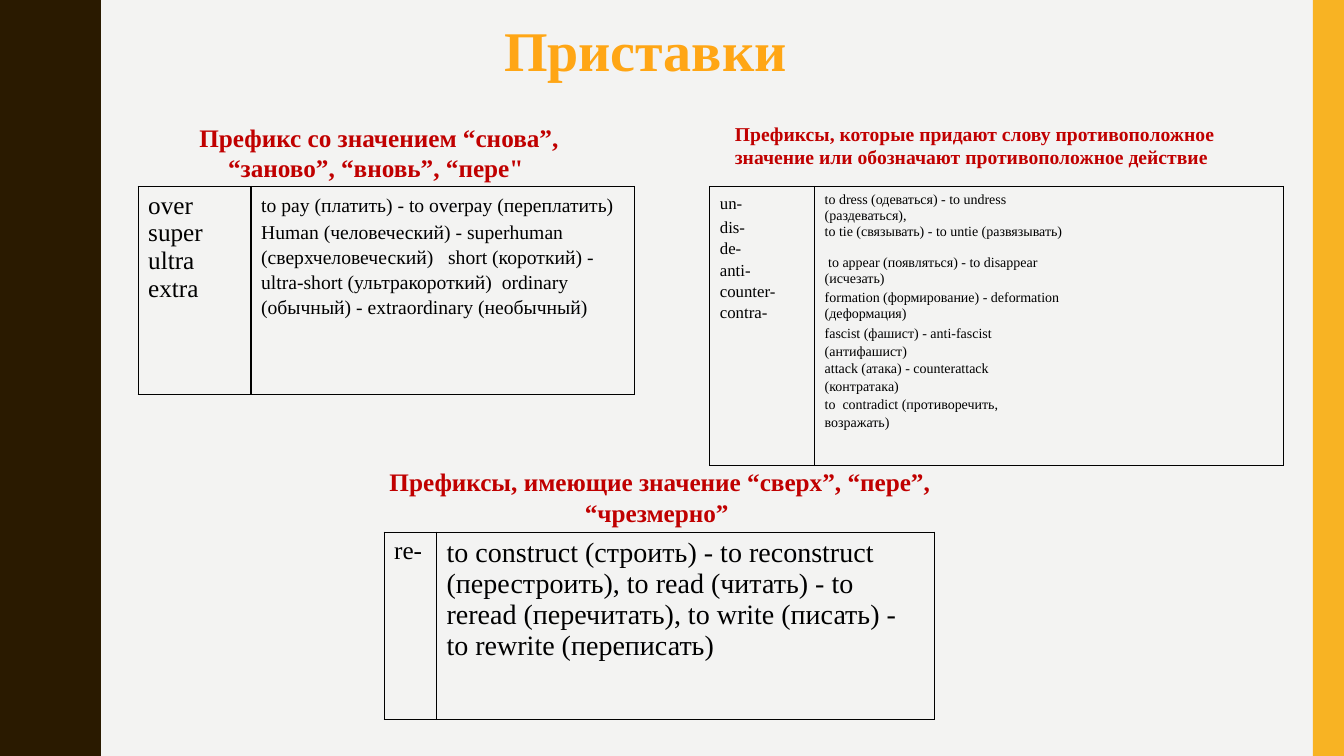
from lxml import etree
from pptx import Presentation
from pptx.dml.color import RGBColor
from pptx.enum import shapes, text
from pptx.oxml import ns
from pptx.util import Inches, Pt

COLORS = {"paper": "F3F3F2", "wave": "2A1A00", "band": "F8B323",
          "title": "FFA615", "heading": "C00000", "ink": "000000"}
FONT = "Times New Roman"


def style(para, size, color, bold=False):
    para.font.name = FONT
    para.font.size = Pt(size)
    para.font.bold = bold
    para.font.color.rgb = RGBColor.from_string(COLORS[color])


def add_borders(cell):
    props = cell._tc.get_or_add_tcPr()
    for index, side in enumerate(("lnL", "lnR", "lnT", "lnB")):
        line = etree.Element(ns.qn(f"a:{side}"), w=str(Pt(1)))
        fill = etree.SubElement(line, ns.qn("a:solidFill"))
        etree.SubElement(fill, ns.qn("a:srgbClr"), val=COLORS["ink"])
        props.insert(index, line)


deck = Presentation()
deck.slide_width, deck.slide_height = Inches(13.33), Inches(7.5)
page = deck.slides.add_slide(deck.slide_layouts[5])
page.background.fill.solid()
page.background.fill.fore_color.rgb = RGBColor.from_string(COLORS["paper"])

# Wavy left edge: half a wave, mirrored and repeated five times
PERIOD = 1.5
half = [(0.78, 0), (0.78, 0.07), (0.79, 0.14), (0.8, 0.2), (0.81, 0.25),
        (0.83, 0.29), (0.85, 0.33), (0.87, 0.38), (0.89, 0.42), (0.91, 0.46),
        (0.93, 0.5), (0.95, 0.55), (0.96, 0.61), (0.97, 0.68), (0.97, 0.75)]
wave = half + [(x, PERIOD - y) for x, y in reversed(half[:-1])]
outline = [(x, y + PERIOD * turn) for turn in range(5) for x, y in wave]
builder = page.shapes.build_freeform(0, 0, scale=Inches(1))
builder.add_line_segments(outline + [(0, 7.5)], close=True)
edge = builder.convert_to_shape()

# Right band
band = page.shapes.add_shape(shapes.MSO_SHAPE.RECTANGLE, Inches(13.02), 0,
                             Inches(0.31), Inches(7.5))
for shape, color in ((edge, "wave"), (band, "band")):
    shape.shadow.inherit = False
    shape.fill.solid()
    shape.fill.fore_color.rgb = RGBColor.from_string(COLORS[color])
    shape.line.fill.background()

# Title
title = page.shapes.title
title.left, title.top = Inches(4.9), Inches(0.1)
title.width, title.height = Inches(7.15), Inches(0.77)
title.text_frame.text = "Приставки"
title.text_frame.vertical_anchor = text.MSO_ANCHOR.TOP
title.text_frame.paragraphs[0].alignment = text.PP_ALIGN.LEFT
style(title.text_frame.paragraphs[0], 40, "title", True)

# Tables: place, column widths, row height, right margin of the examples,
# then per cell (size, paragraphs of (text, line spacing, space after))
tables = [
    (1.37, 1.85, (1.12, 3.8), 2.06, 0.1, [
        (18, [("over \vsuper", 1, 0), ("ultra \vеxtra", 1, 0)]),
        (14, [("to pay (платить) - to overpay (переплатить)", 1.15, 1.8),
              ("Human (человеческий) - superhuman (сверхчеловеческий)   short (короткий) - "
               "ultra-short (ультракороткий)  ordinary (обычный) - "
               "extraordinary (необычный)", 1.15, 0)])]),
    (7.04, 1.85, (1.04, 4.65), 2.77, 2.17, [
        (12, [("un-", 1.15, 1.8)] + [(prefix, 1.15, 0) for prefix in
                                     ("dis-", "de-", "anti-", "counter-", "contra-")]),
        (10, [("to dress (одеваться) - to undress (раздеваться),  \v"
               "to tie (связывать) - to untie (развязывать) \v"
               " to appear (появляться) - to disappear (исчезать)", 1.03, 1.8),
              ("formation (формирование) - deformation (деформация)", 1.03, 1.8),
              ("fascist (фашист) - anti-fascist (антифашист)", 1.15, 0),
              ("attack (атака) - counterattack (контратака)", 1.15, 0),
              ("to  contradict (противоречить, возражать)", 1.15, 0)])]),
    (3.81, 5.28, (0.52, 4.94), 1.86, 0.1, [
        (18, [("re-", 1, 0)]),
        (20, [("to construct (строить) - to reconstruct (перестроить), to read (читать) - "
               "to reread (перечитать), to write (писать) - to rewrite (переписать)", 1, 0)])]),
]
for left, top, widths, height, margin, contents in tables:
    table = page.shapes.add_table(1, 2, Inches(left), Inches(top),
                                  Inches(sum(widths)), Inches(height)).table
    table.first_row = table.horz_banding = False
    for column, width in zip(table.columns, widths):
        column.width = Inches(width)
    for cell, (size, paras) in zip(table.rows[0].cells, contents):
        cell.fill.background()
        add_borders(cell)
        cell.text = "\n".join(words for words, _, _ in paras)
        for para, (_, spacing, after) in zip(cell.text_frame.paragraphs, paras):
            para.line_spacing = spacing
            para.space_after = Pt(after)
            style(para, size, "ink")
    table.cell(0, 1).margin_right = Inches(margin)

# Headings above the tables
headings = [
    (1.46, 1.16, 4.6, 0.71, 18, text.PP_ALIGN.CENTER,
     "Префикс со значением “снова”, “заново”, “вновь”, “пере\" "),
    (7.19, 1.16, 5.4, 0.57, 14, text.PP_ALIGN.LEFT,
     "Префиксы, которые придают слову противоположное значение "
     "или обозначают противоположное действие"),
    (3.54, 4.58, 6.01, 0.71, 18, text.PP_ALIGN.CENTER,
     "Префиксы, имеющие значение “сверх”, “пере”, “чрезмерно” "),
]
for left, top, width, height, size, align, words in headings:
    box = page.shapes.add_textbox(Inches(left), Inches(top), Inches(width), Inches(height))
    box.text_frame.word_wrap = True
    para = box.text_frame.paragraphs[0]
    para.text = words
    para.alignment = align
    style(para, size, "heading", True)

deck.save("out.pptx")
